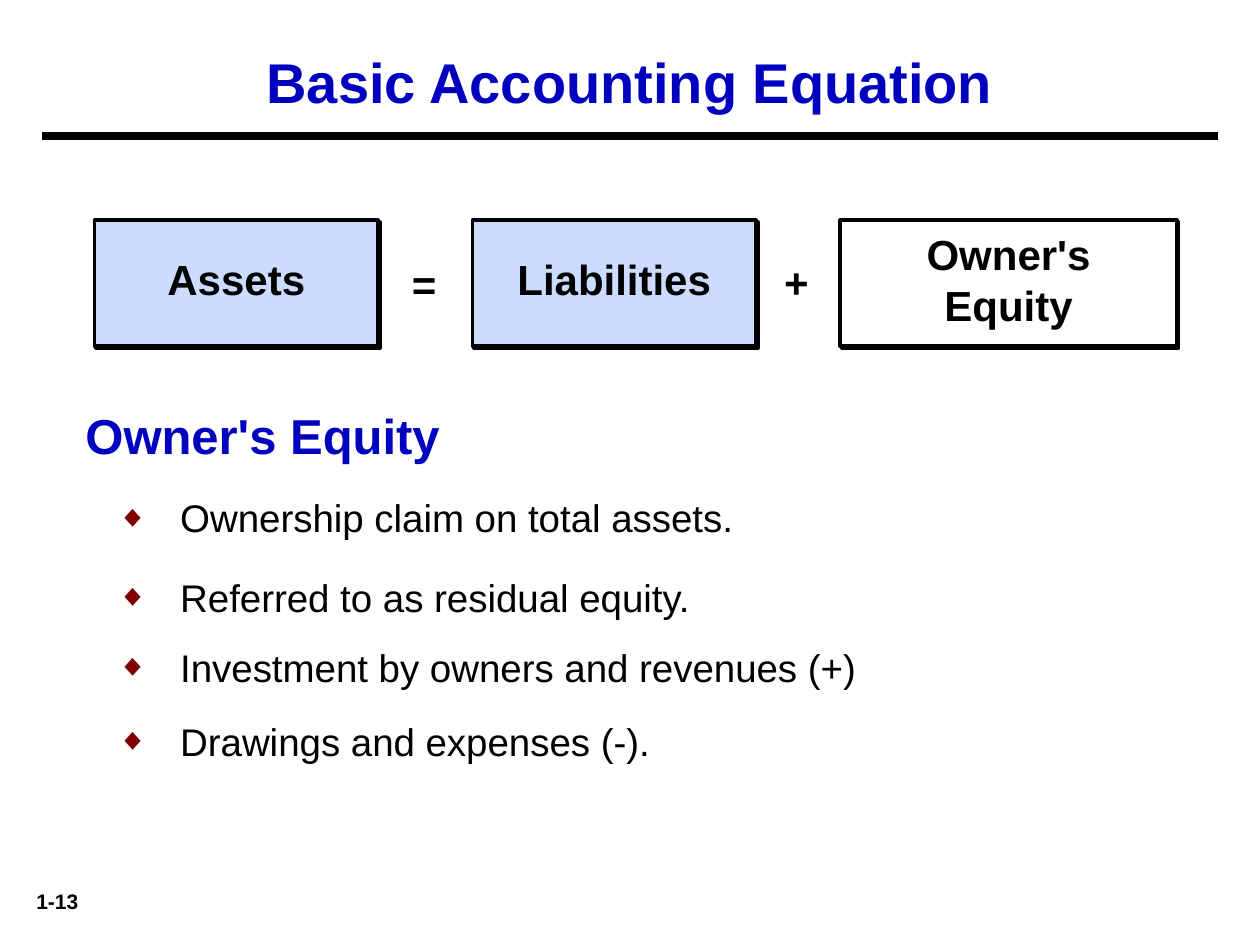
import dataclasses

import lxml.etree
import pptx
import pptx.dml.color
import pptx.enum.shapes
import pptx.enum.text
import pptx.oxml.ns
import pptx.util

Inches = pptx.util.Inches
Pt = pptx.util.Pt
ALIGN = pptx.enum.text.PP_ALIGN
ANCHOR = pptx.enum.text.MSO_ANCHOR


@dataclasses.dataclass(frozen=True)
class Theme:
    font: str = "Arial"
    ink: str = "000000"
    blue: str = "0000BF"
    pale: str = "CBDCFF"
    white: str = "FFFFFF"
    mark: str = "800000"
    title: float = 32
    head: float = 28
    term: float = 24
    body: float = 22
    foot: float = 12


THEME = Theme()


def color(code):
    return pptx.dml.color.RGBColor.from_string(code)


def node(parent, tag, **attrs):
    """Add a drawing element below parent."""
    item = lxml.etree.SubElement(parent, pptx.oxml.ns.qn(tag))
    for key, value in attrs.items():
        item.set(key, str(value))
    return item


def place(shape, box):
    shape.left, shape.top, shape.width, shape.height = map(Inches, box)


def write(para, text, size=THEME.term, ink=THEME.ink, bold=True,
          align=ALIGN.LEFT, before=0, after=0, lines=1.0):
    """Put formatted text into a paragraph."""
    para.alignment = align
    para.space_before, para.space_after = Pt(before), Pt(after)
    para.line_spacing = lines
    run = para.add_run()
    run.text = text
    run.font.name, run.font.size, run.font.bold = THEME.font, Pt(size), bold
    run.font.color.rgb = color(ink)


def frame(shape, insets=(0.1, 0.05, 0.1, 0.05), anchor=ANCHOR.TOP):
    """Set up a text frame and return it."""
    text = shape.text_frame
    text.word_wrap = True
    text.auto_size = pptx.enum.text.MSO_AUTO_SIZE.NONE
    text.vertical_anchor = anchor
    (text.margin_left, text.margin_top,
     text.margin_right, text.margin_bottom) = map(Inches, insets)
    return text


def label(slide, box, text, **style):
    shape = slide.shapes.add_textbox(*map(Inches, box))
    write(frame(shape).paragraphs[0], text, **style)


def header(slide, box):
    """Title with a heavy rule along the foot of the box."""
    left, top, width, height = box
    title = slide.shapes.title
    place(title, (left + 0.25, top, width - 0.5, 0.61))
    write(frame(title).paragraphs[0], "Basic Accounting Equation",
          size=THEME.title, ink=THEME.blue, align=ALIGN.CENTER)
    foot = Inches(top + height)
    rule = slide.shapes.add_connector(
        pptx.enum.shapes.MSO_CONNECTOR.STRAIGHT,
        Inches(left), foot, Inches(left + width), foot)
    rule.line.color.rgb = color(THEME.ink)
    rule.line.width = Pt(4.5)
    node(rule._element.spPr, "a:effectLst")


def term(slide, box, text, fill):
    """One framed term of the equation with a hard shadow."""
    shape = slide.shapes.add_shape(
        pptx.enum.shapes.MSO_SHAPE.RECTANGLE, *map(Inches, box))
    shape.fill.solid()
    shape.fill.fore_color.rgb = color(fill)
    shape.line.color.rgb = color(THEME.ink)
    shape.line.width = Pt(2.25)
    shape.shadow.inherit = False
    effects = shape._element.spPr.find(pptx.oxml.ns.qn("a:effectLst"))
    shade = node(effects, "a:outerShdw", dist=Pt(1.4), dir=45 * 60000,
                 algn="ctr", rotWithShape=0)
    node(shade, "a:srgbClr", val=THEME.ink)
    text_box = frame(shape, (0.2, 0, 0.2, 0.07), ANCHOR.MIDDLE)
    write(text_box.paragraphs[0], text, align=ALIGN.CENTER)


def equation(slide, box):
    """Three terms joined by two signs."""
    left, top, width, height = box
    wide = 2.67
    terms = (("Assets", 0, 2.25, THEME.pale),
             ("Liabilities", 3, 2.25, THEME.pale),
             ("Owner's Equity", width - wide, wide, THEME.white))
    for text, shift, size, fill in terms:
        term(slide, (left + shift, top, size, height), text, fill)
    signs = (("=", 2.42, 0.25, ALIGN.LEFT), ("+", 5.33, 0.24, ALIGN.CENTER))
    for text, shift, drop, align in signs:
        label(slide, (left + shift, top + drop, 0.48, 0.5), text, align=align)


def points(slide, box):
    """Heading above a bulleted list."""
    left, top, width, height = box
    label(slide, (left, top, 4.42, 0.5), "Owner's Equity",
          size=THEME.head, ink=THEME.blue)
    body = slide.placeholders[1]
    place(body, (left, top + 0.63, width, height - 0.63))
    text_box = frame(body)
    items = (("Ownership claim on total assets.", 0, 0),
             ("Referred to as residual equity.", 13.8, 0),
             ("Investment by owners and revenues (+)", 8.2, 2.8),
             ("Drawings and expenses (-).", 8.2, 2.8))
    for index, (text, before, after) in enumerate(items):
        para = text_box.add_paragraph() if index else text_box.paragraphs[0]
        para.level = 1
        props = para._p.get_or_add_pPr()
        props.set("marL", str(Inches(0.75)))
        props.set("indent", str(Inches(-0.5)))
        node(node(props, "a:buClr"), "a:srgbClr", val=THEME.mark)
        node(props, "a:buSzPct", val=80000)
        node(props, "a:buFont", typeface=THEME.font)
        node(props, "a:buChar", char="◆")
        write(para, text, size=THEME.body, bold=False,
              before=before, after=after, lines=1.2)


def footer(slide, box):
    """Page number."""
    label(slide, box, "1-13", size=THEME.foot, align=ALIGN.CENTER)


def main():
    deck = pptx.Presentation()
    deck.slide_width, deck.slide_height = Inches(10), Inches(7.5)
    slide = deck.slides.add_slide(deck.slide_layouts[1])
    header(slide, (0.33, 0.33, 9.34, 0.75))
    equation(slide, (0.75, 1.75, 8.59, 1))
    points(slide, (0.58, 3.17, 9, 2.95))
    footer(slide, (0.08, 7, 0.75, 0.3))
    deck.save("out.pptx")


if __name__ == "__main__":
    main()
